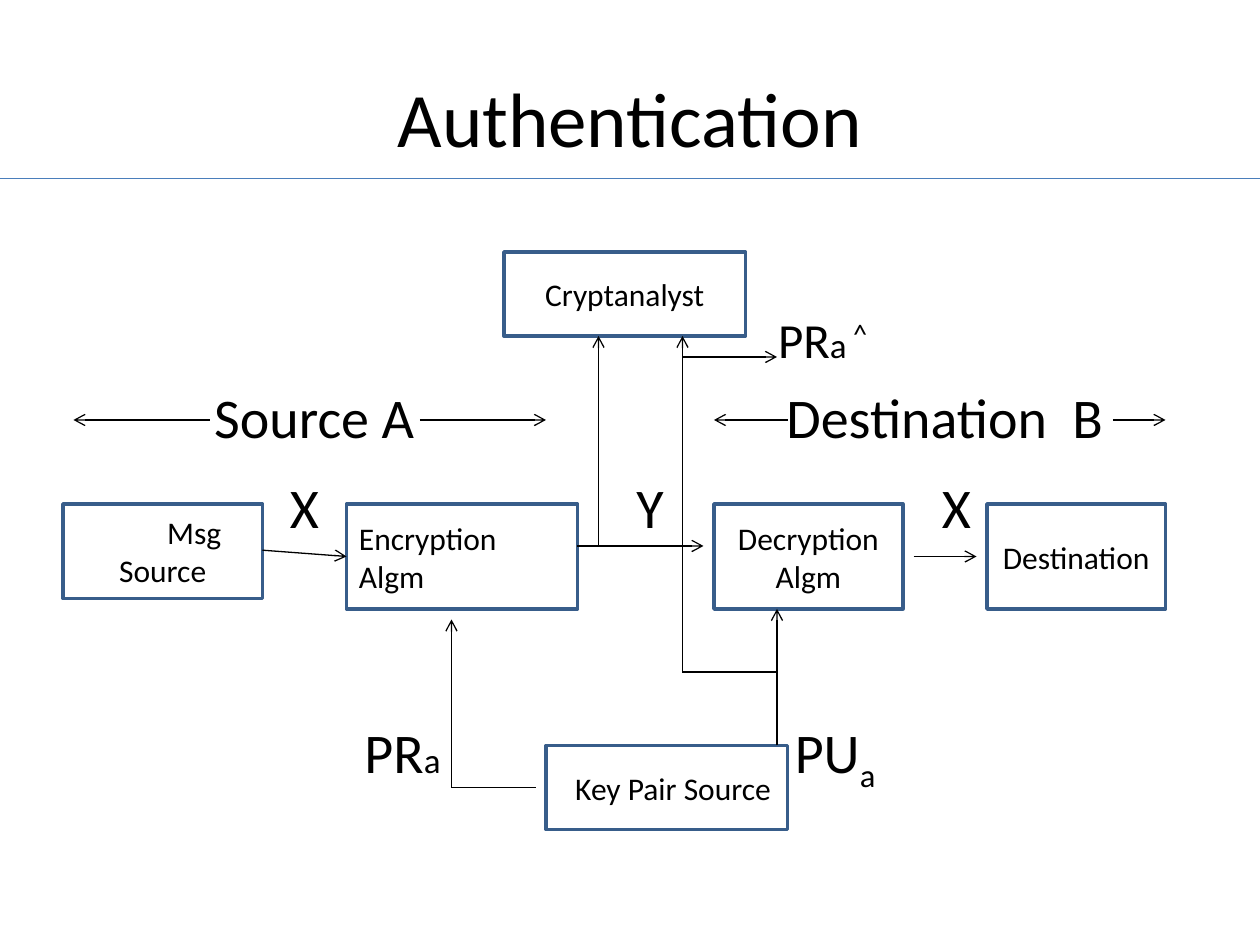
from lxml.etree import SubElement
from pptx import Presentation
from pptx.dml.color import RGBColor
from pptx.enum.shapes import MSO_CONNECTOR, MSO_SHAPE
from pptx.enum.text import MSO_ANCHOR, PP_ALIGN
from pptx.oxml.ns import qn
from pptx.util import Inches, Pt

COLORS = {"text": "000000", "box": "FFFFFF", "border": "385D8A",
          "arrow": "000000", "rule": "4A7EBB"}

deck = Presentation()
deck.slide_width, deck.slide_height = Inches(10), Inches(7.5)
slide = deck.slides.add_slide(deck.slide_layouts[6])

# Grid of 120 columns by 90 rows
CELL = deck.slide_width / 120


def grid(*cells):
    return [round(cell * CELL) for cell in cells]


def write(paragraph, text, size, baseline=0):
    run = paragraph.add_run()
    run.text = text
    for name, value in {"name": "Calibri", "size": Pt(size)}.items():
        setattr(run.font, name, value)
    run.font.color.rgb = RGBColor.from_string(COLORS["text"])
    if baseline:
        run.font._element.set("baseline", str(baseline * 1000))


# Title
title = slide.shapes.add_textbox(*grid(6, 3.6, 108, 15)).text_frame
title.word_wrap = True
title.vertical_anchor = MSO_ANCHOR.MIDDLE
title.paragraphs[0].alignment = PP_ALIGN.CENTER
write(title.paragraphs[0], "Authentication", 44)

# Boxes: text, place, alignment, extra left margin, first-line indent
CENTER, LEFT = PP_ALIGN.CENTER, PP_ALIGN.LEFT
stages = [
    ("Msg Source", (6, 48, 19, 9), CENTER, 0, 6),
    ("Encryption Algm", (33, 48, 22, 10), LEFT, 0, 0),
    ("Decryption Algm", (68, 48, 18, 10), CENTER, 0, 0),
    ("Destination", (94, 48, 17, 10), CENTER, 0, 0),
    ("Cryptanalyst", (48, 24, 23, 8), CENTER, 0, 0),
    ("Key Pair Source", (52, 71, 23, 8), CENTER, 1.2, 0),
]
for text, place, alignment, margin, indent in stages:
    stage = slide.shapes.add_shape(MSO_SHAPE.RECTANGLE, *grid(*place))
    stage.shadow.inherit = False
    stage.fill.solid()
    stage.fill.fore_color.rgb = RGBColor.from_string(COLORS["box"])
    stage.line.color.rgb = RGBColor.from_string(COLORS["border"])
    stage.line.width = Pt(2)
    frame = stage.text_frame
    frame_format = {"word_wrap": True, "vertical_anchor": MSO_ANCHOR.MIDDLE,
                    "margin_left": Inches(0.1) + grid(margin)[0],
                    "margin_right": Inches(0.1)}
    for name, value in frame_format.items():
        setattr(frame, name, value)
    paragraph = frame.paragraphs[0]
    paragraph.alignment = alignment
    if indent:
        paragraph._p.get_or_add_pPr().set("indent", str(grid(indent)[0]))
    write(paragraph, text, 18)

# Labels: column, row, width, runs of (text, size, baseline percent)
labels = [
    (74.1, 29.5, 10, [("PR", 28), ("a", 20), (" ^", 28, 30)]),
    (20.4, 36.4, 20, [("Source A", 32)]),
    (74.9, 36.4, 31, [("Destination  B", 32)]),
    (27.6, 45, 4, [("X", 32)]),
    (60.6, 45, 4, [("Y", 32)]),
    (89.7, 45, 4, [("X", 32)]),
    (34.7, 68.3, 9, [("PR", 32), ("a", 20)]),
    (75.7, 68.3, 9, [("PU", 32), ("a", 32, -25)]),
]
for column, row, width, runs in labels:
    label = slide.shapes.add_textbox(*grid(column, row, width, 6.5)).text_frame
    label.word_wrap = False
    for side in ("left", "top", "right", "bottom"):
        setattr(label, f"margin_{side}", 0)
    for run in runs:
        write(label.paragraphs[0], *run)

# Lines: start, end, colour, arrowhead at the end
flows = [
    (0, 17, 120, 17, "rule", False),      # under the title
    (25, 52.4, 33, 53, "arrow", True),    # message to encryption
    (55, 52, 67, 52, "arrow", True),      # encryption to decryption
    (87, 53, 93, 53, "arrow", True),      # decryption to destination
    (57, 52, 57, 32, "arrow", True),      # ciphertext to cryptanalyst
    (65, 64, 65, 32, "arrow", True),      # public key to cryptanalyst
    (65, 64, 74, 64, "arrow", False),
    (65, 34, 74, 34, "arrow", True),      # estimated private key
    (74, 71, 74, 58, "arrow", True),      # public key to decryption
    (51, 75, 43, 75, "arrow", False),     # private key to encryption
    (43, 75, 43, 59, "arrow", True),
    (20, 40, 7, 40, "arrow", True),       # extent of source A
    (40, 40, 52, 40, "arrow", True),
    (75, 40, 68, 40, "arrow", True),      # extent of destination B
    (106, 40, 111, 40, "arrow", True),
]
for *ends, color, has_head in flows:
    flow = slide.shapes.add_connector(MSO_CONNECTOR.STRAIGHT, *grid(*ends))
    flow.line.color.rgb = RGBColor.from_string(COLORS[color])
    flow.line.width = Pt(0.75)
    if has_head:
        SubElement(flow.line._get_or_add_ln(), qn("a:tailEnd"), type="arrow")
    SubElement(flow._element.spPr, qn("a:effectLst"))

deck.save("out.pptx")
